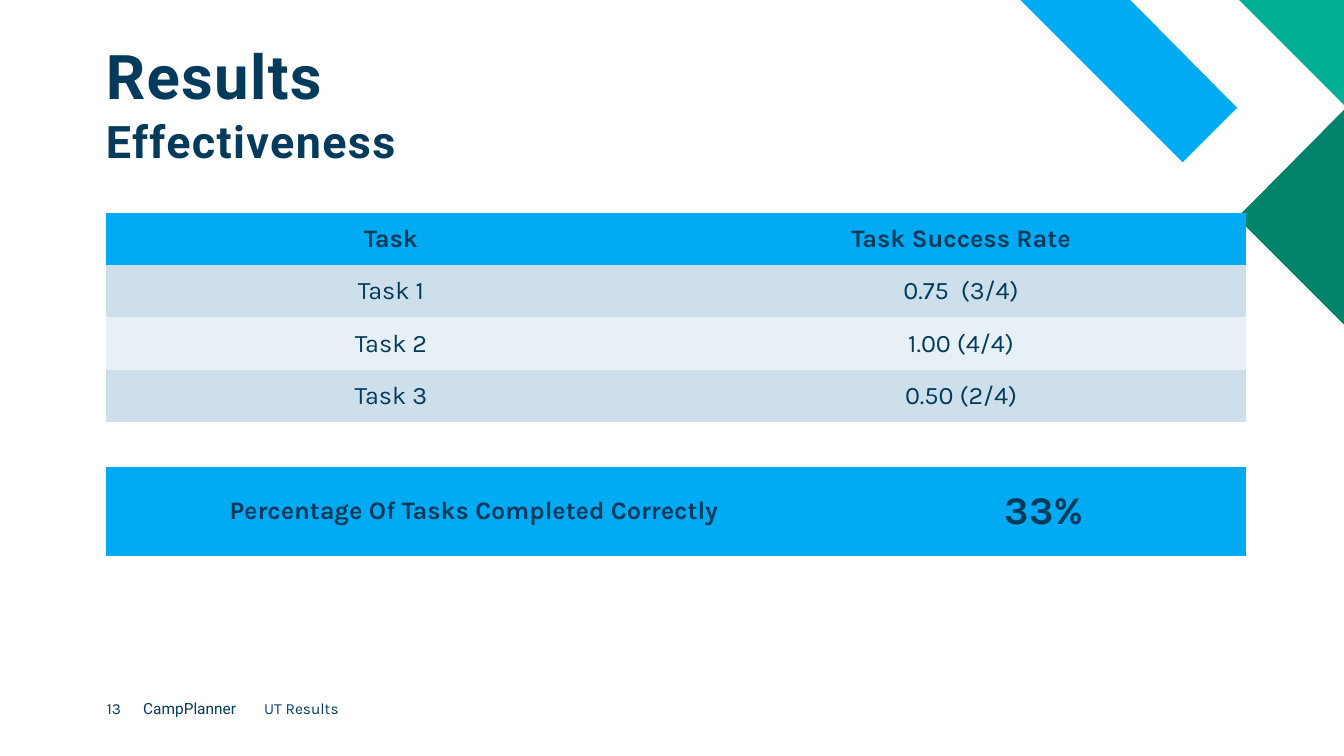
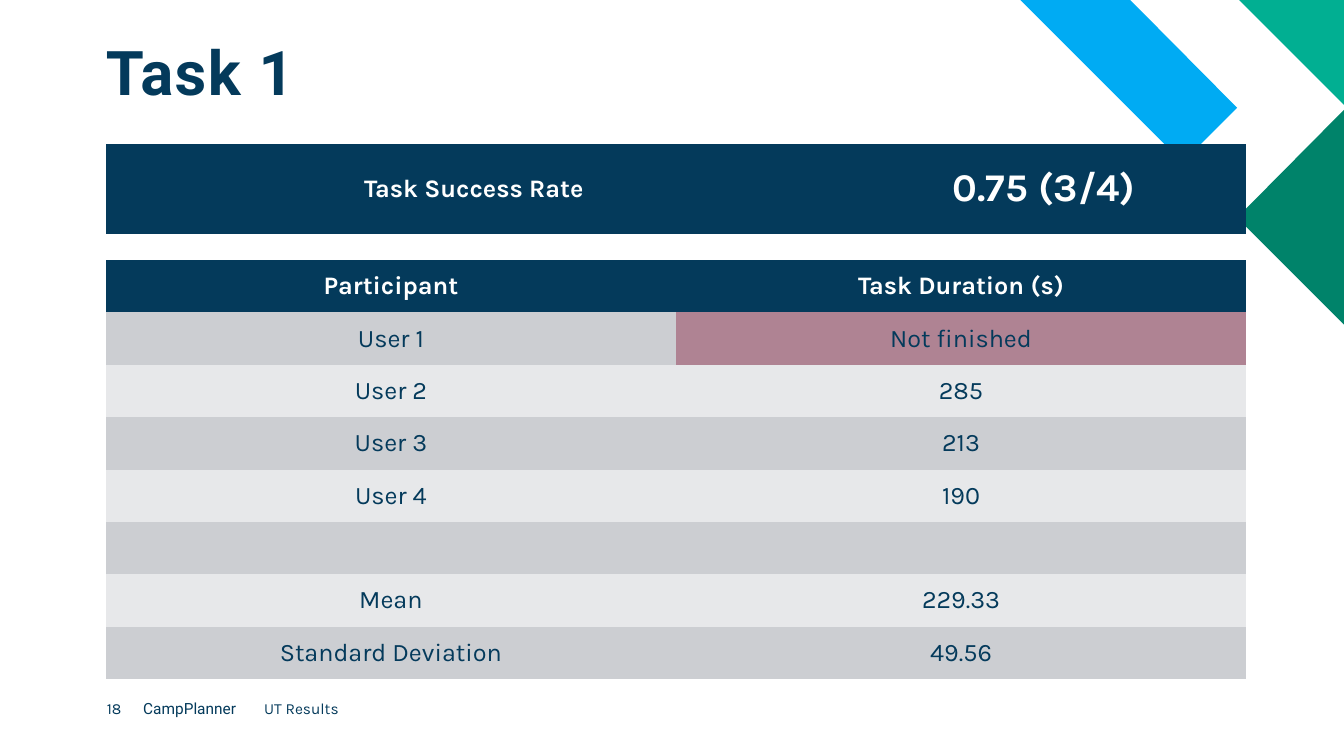
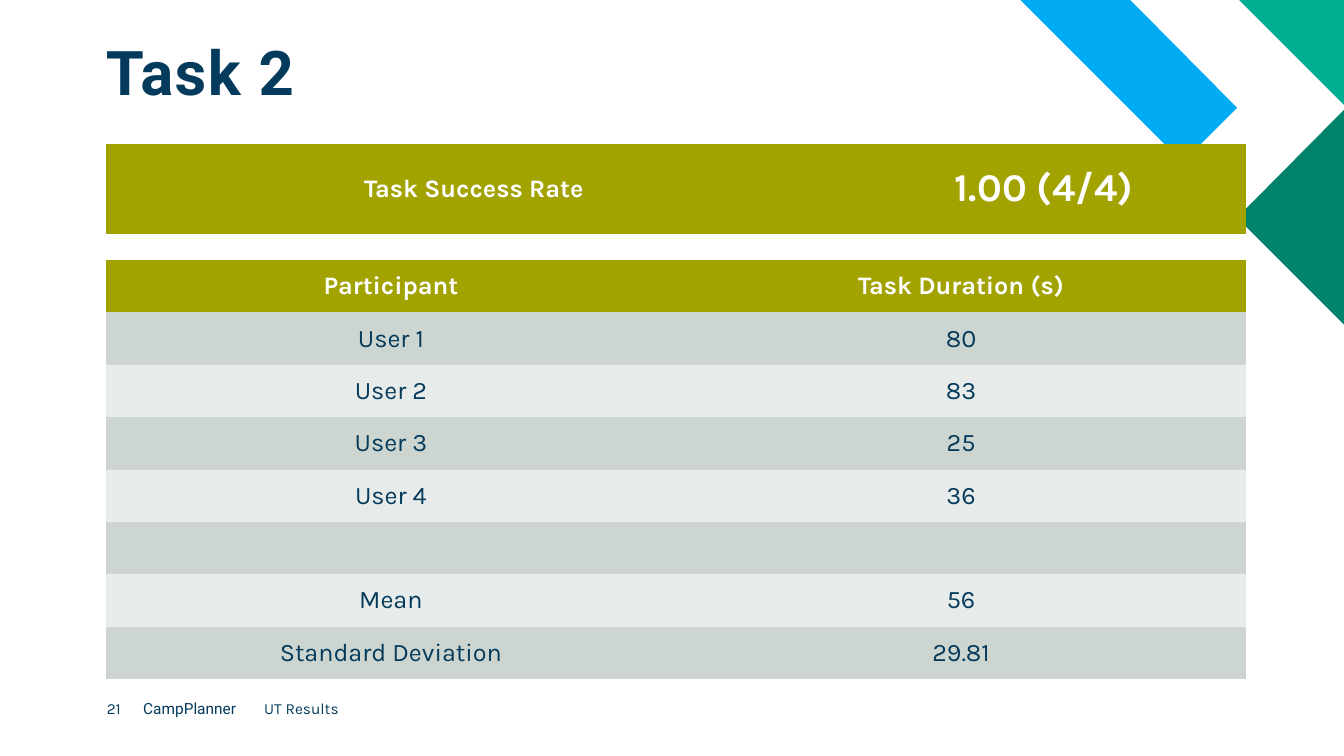
from pptx import Presentation
from pptx import util as u
from pptx.dml.color import RGBColor
from pptx.enum import text

Inches = u.Inches

# Shared look
NAVY, WHITE, BLUE = "043A5B", "FFFFFF", "00ABF3"
OLIVE, ROSE = "A2A200", "AF8393"
BLUE_BANDS = ("CCDFEB", "E7F0F5")
GREY_BANDS = ("CCCED2", "E7E8EA")
OLIVE_BANDS = ("CCD5CF", "E7EBE9")
HEADING_FONT, BODY_FONT = "Roboto", "Karla"
PLAIN_TABLE = "{2D5ABB26-0587-4C30-8999-92F81FD0307C}"
LEFT, WIDTH, ROW_HEIGHT, RATE_HEIGHT = 1.05, 11.31, 0.52, 0.89
CORNER_BANDS = [
    (BLUE, [(10.12, 0), (11.21, 0), (12.27, 1.07), (11.73, 1.61)]),
    ("01AF92", [(12.29, 0), (13.33, 0), (13.33, 1.04)]),
    ("00836A", [(13.33, 3.22), (12.27, 2.16), (13.33, 1.09)]),
]


def colour(value):
    return RGBColor.from_string(value)


def paint(part, value):
    part.fill.solid()
    part.fill.fore_color.rgb = colour(value)


def write(frame, words, size=18, font=BODY_FONT, ink=NAVY, bold=False,
          align=text.PP_ALIGN.LEFT, spacing=None, tracking=None):
    para = frame.paragraphs[0]
    para.alignment = align
    para.line_spacing = spacing
    span = para.add_run()
    span.text = words
    span.font.size = u.Pt(size)
    span.font.name = font
    span.font.bold = bold
    span.font.color.rgb = colour(ink)
    if tracking:
        span.font._element.set("spc", str(tracking * 100))


def place(box, left, top, width, height, anchor=text.MSO_ANCHOR.TOP):
    """Set a box's position and clear its margins."""
    box.left, box.top = Inches(left), Inches(top)
    box.width, box.height = Inches(width), Inches(height)
    frame = box.text_frame
    frame.word_wrap = True
    frame.auto_size = text.MSO_AUTO_SIZE.NONE
    frame.vertical_anchor = anchor
    frame.margin_left = frame.margin_right = 0
    frame.margin_top = frame.margin_bottom = 0
    return frame


def add_heading(box, words, top, size):
    frame = place(box, LEFT, top, 5.4, 0.67, text.MSO_ANCHOR.BOTTOM)
    write(frame, words, size=size, font=HEADING_FONT, bold=True,
          spacing=0.9, tracking=1)


def add_corner(page):
    for fill, points in CORNER_BANDS:
        start, *others = [(Inches(x), Inches(y)) for x, y in points]
        builder = page.shapes.build_freeform(*start, scale=1.0)
        builder.add_line_segments(others, close=True)
        band = builder.convert_to_shape()
        band.shadow.inherit = False
        paint(band, fill)
        band.line.fill.background()


def add_footer(page, number):
    left = LEFT + 0.01
    for words, width, font in [(str(number), 0.36, BODY_FONT),
                               ("CampPlanner", 1.2, HEADING_FONT),
                               ("UT Results", 1.33, BODY_FONT)]:
        box = page.shapes.add_textbox(0, 0, 0, 0)
        write(place(box, left, 6.94, width, 0.29), words, size=11, font=font)
        left += width


def add_grid(page, top, widths, row_height, row_count):
    frame = page.shapes.add_table(
        row_count, len(widths), Inches(LEFT), Inches(top),
        Inches(sum(widths)), Inches(row_height * row_count))
    grid = frame.table
    grid.first_row = grid.horz_banding = False
    grid._tbl.tblPr.find("{*}tableStyleId").text = PLAIN_TABLE
    for column, width in zip(grid.columns, widths):
        column.width = Inches(width)
    for row in grid.rows:
        row.height = Inches(row_height)
    return grid


def fill_cell(cell, words, fill, **style):
    paint(cell, fill)
    cell.vertical_anchor = text.MSO_ANCHOR.MIDDLE
    if words:
        write(cell.text_frame, words, align=text.PP_ALIGN.CENTER, **style)


def add_banded_table(page, top, rows, accent, ink, bands):
    """Header row, then alternating bands; an empty row is one merged cell."""
    grid = add_grid(page, top, [WIDTH / 2] * 2, ROW_HEIGHT, len(rows))
    for row, values in enumerate(rows):
        header = row == 0
        for column, words in enumerate(values):
            fill = accent if header else bands[(row - 1) % 2]
            if words == "Not finished":
                fill = ROSE
            fill_cell(grid.cell(row, column), words, fill, bold=header,
                      ink=ink if header else NAVY)
        if not any(values):
            grid.cell(row, 0).merge(grid.cell(row, 1))


def add_rate(page, top, label, value, accent, ink):
    grid = add_grid(page, top, [7.3, WIDTH - 7.3], RATE_HEIGHT, 1)
    for column, (words, size) in enumerate([(label, 18), (value, 28)]):
        fill_cell(grid.cell(0, column), words, accent, size=size, ink=ink,
                  bold=True)


def add_page(deck, title, number, title_top):
    page = deck.slides.add_slide(deck.slide_layouts[5])
    add_corner(page)
    add_footer(page, number)
    add_heading(page.shapes.title, title, title_top, 44)
    return page


def add_results_page(deck):
    page = add_page(deck, "Results", 13, 0.45)
    add_heading(page.shapes.add_textbox(0, 0, 0, 0), "Effectiveness", 1, 32)
    rows = [("Task", "Task Success Rate"), ("Task 1", "0.75  (3/4)"),
            ("Task 2", "1.00 (4/4)"), ("Task 3", "0.50 (2/4)")]
    add_banded_table(page, 2.11, rows, BLUE, NAVY, BLUE_BANDS)
    add_rate(page, 4.63, "Percentage Of Tasks Completed Correctly", "33%",
             BLUE, NAVY)


def add_task_page(deck, title, number, rate, durations, mean, deviation,
                  accent, bands):
    page = add_page(deck, title, number, 0.41)
    users = [(f"User {i}", value) for i, value in enumerate(durations, 1)]
    rows = [("Participant", "Task Duration (s)"), *users, ("", ""),
            ("Mean", mean), ("Standard Deviation", deviation)]
    add_banded_table(page, 2.58, rows, accent, WHITE, bands)
    add_rate(page, 1.43, "Task Success Rate", rate, accent, WHITE)


def main():
    deck = Presentation()
    deck.slide_width, deck.slide_height = Inches(13.33), Inches(7.5)
    add_results_page(deck)
    add_task_page(deck, "Task 1", 18, "0.75 (3/4)",
                  ["Not finished", "285", "213", "190"], "229.33", "49.56",
                  NAVY, GREY_BANDS)
    add_task_page(deck, "Task 2", 21, "1.00 (4/4)",
                  ["80", "83", "25", "36"], "56", "29.81",
                  OLIVE, OLIVE_BANDS)
    deck.save("out.pptx")


if __name__ == "__main__":
    main()
